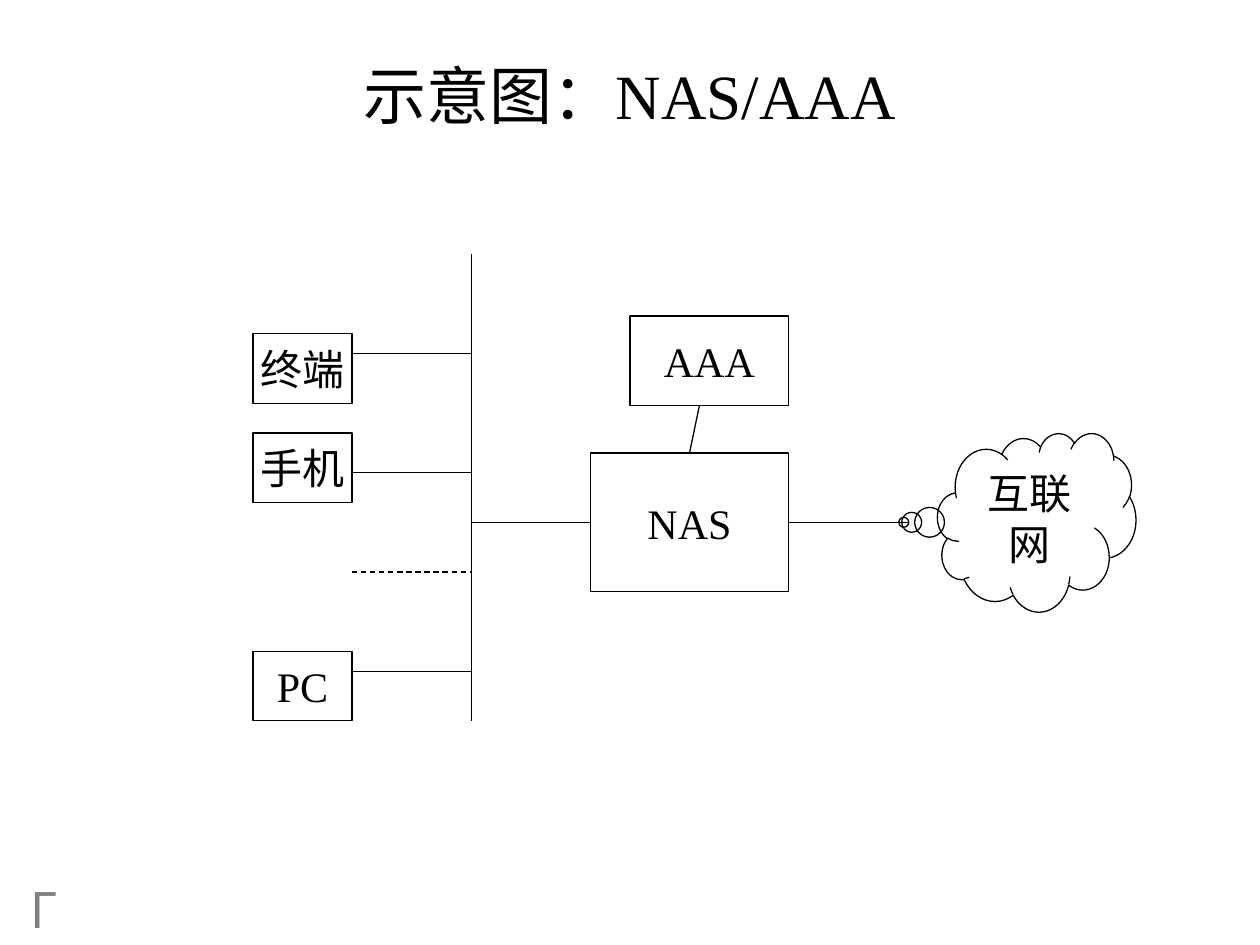
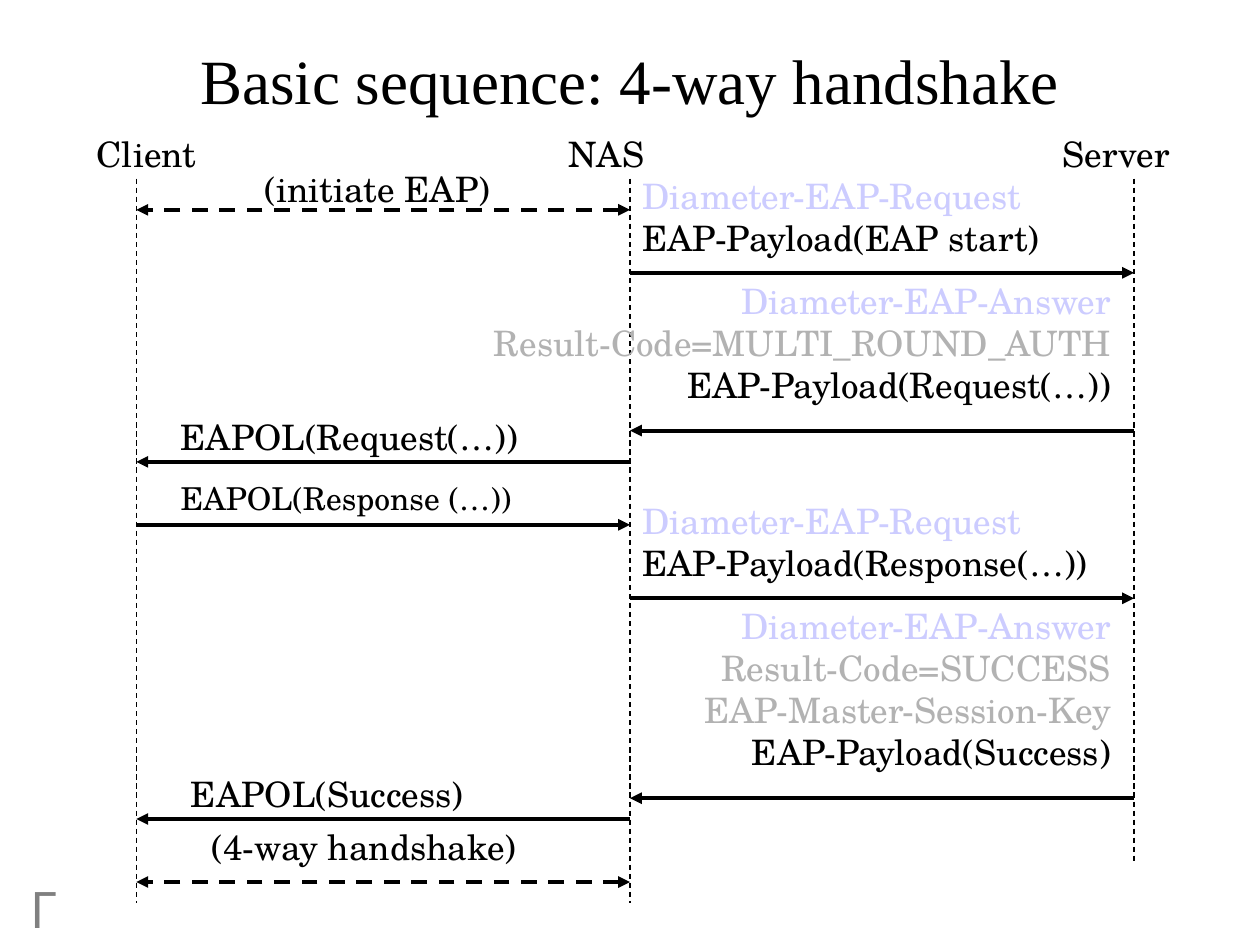
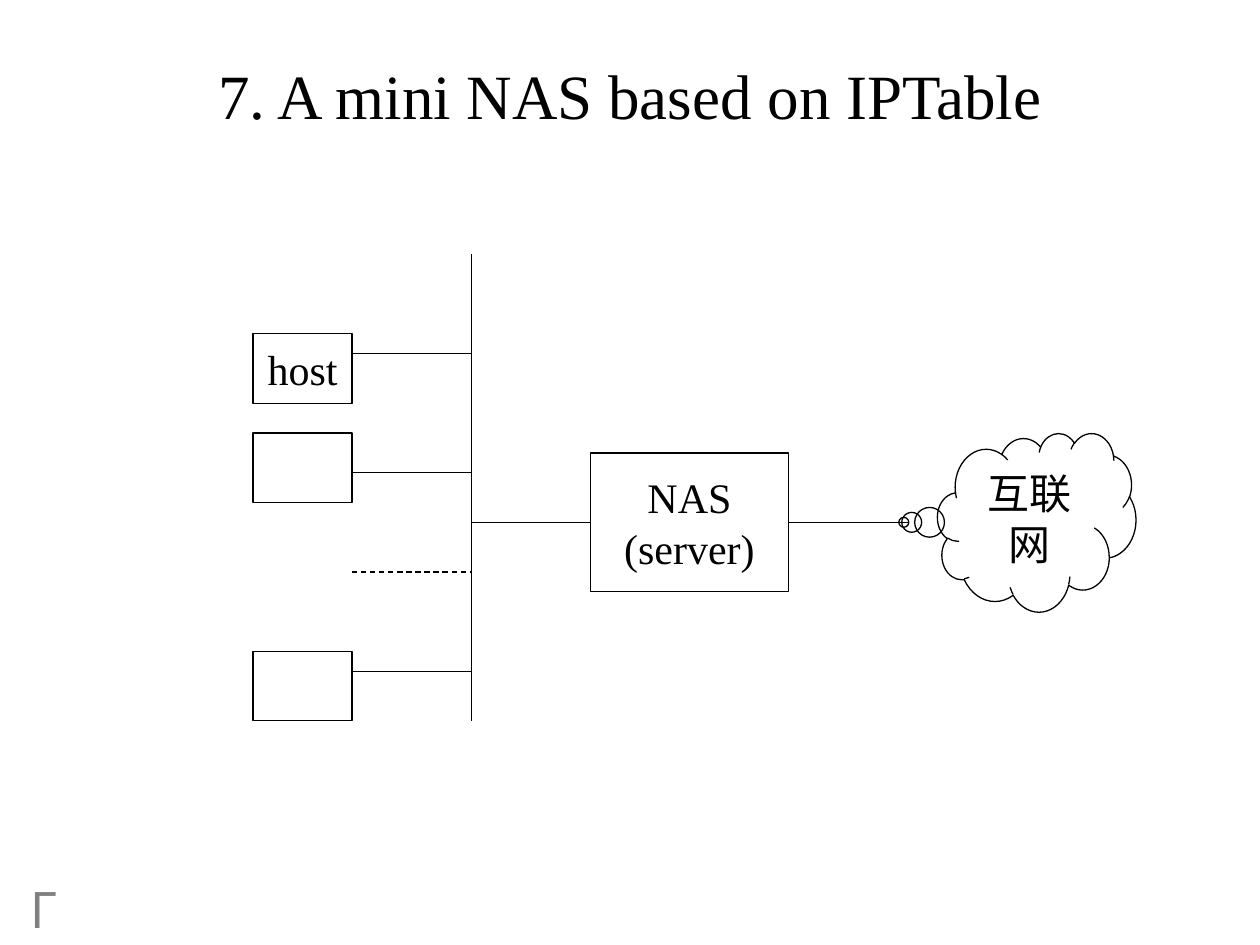
from pptx import Presentation
from pptx import util as u
from pptx.dml import color
from pptx.enum import dml, shapes, text
from pptx.oxml import ns, xmlchemy

BLACK, GREY, LILAC, SILVER = "000000", "808080", "CCCCFF", "B2B2B2"
SERIF, SCHOLA, CJK = "Times New Roman", "TeX Gyre Schola", "Noto Sans CJK SC"
LEFT, CENTER, RIGHT = text.PP_ALIGN.LEFT, text.PP_ALIGN.CENTER, text.PP_ALIGN.RIGHT
THIN, THICK = 0.75, 2.25

TITLE_AREA = (1.9, 0.7, 21.6, 2.4)
HIGH_TITLE_AREA = (1.9, 0, 21.6, 3.18)
CORNER_MARK = ("Γ ", (0.15, 17.6, 1.7, 1.45))

NETWORKS = {
    "overview": dict(title="示意图：NAS/AAA", hosts=["终端", "手机", "PC"],
                     gateway=["NAS"], authenticator="AAA"),
    "mini": dict(title="7. A mini NAS based on IPTable", hosts=["host", "", ""],
                 gateway=["NAS", "(server)"], authenticator=""),
}
INTERNET = "互联网"
HOST_TOPS = [6.73, 8.73, 13.13]
HOST_LINKS = [(7.13, False), (9.53, False), (11.53, True), (13.53, False)]
HOST_LEFT, HOST_WIDTH, HOST_HEIGHT = 5.1, 2, 1.4
BUS_X, BUS_TOP, BUS_BOTTOM = 9.5, 5.13, 14.53
GATEWAY_AREA = (11.9, 9.13, 4, 2.8)
AUTHENTICATOR_AREA = (12.7, 6.37, 3.2, 1.8)
INTERNET_AREA = (18.9, 8.73, 4, 3.6)
LINK_LENGTH = 2.4

HANDSHAKE_TITLE = "Basic sequence: 4-way handshake"
LIFELINE_TOP = 3.6
PARTIES = {
    "Client": (2.75, 18.2, 1.7),
    "NAS": (12.7, 18.2, 11.22),
    "Server": (22.86, 17.36, 21.17),
}
MESSAGES = [
    ("NAS", "Client", 4.23, True),
    ("NAS", "Server", 5.5, False),
    ("Server", "NAS", 8.68, False),
    ("NAS", "Client", 9.31, False),
    ("Client", "NAS", 10.58, False),
    ("NAS", "Server", 12.06, False),
    ("Server", "NAS", 16.09, False),
    ("NAS", "Client", 16.51, False),
    ("NAS", "Client", 17.78, True),
]
REQUEST = ("Diameter-EAP-Request", LILAC)
ANSWER = ("Diameter-EAP-Answer", LILAC)
CAPTIONS = [
    (5.08, 3.25, 6.15, LEFT, 20, [("(initiate EAP)", BLACK)]),
    (12.7, 3.39, 10.58, LEFT, 20, [REQUEST, ("EAP-Payload(EAP start)", BLACK)]),
    (3.18, 5.5, 19.47, RIGHT, 20, [ANSWER, ("Result-Code=MULTI_ROUND_AUTH", SILVER),
                                   ("EAP-Payload(Request(…))", BLACK)]),
    (3.39, 8.26, 13.76, LEFT, 20, [("EAPOL(Request(…))", BLACK)]),
    (3.39, 9.53, 13.76, LEFT, 18, [("EAPOL(Response (…))", BLACK)]),
    (12.7, 9.95, 12.28, LEFT, 20, [REQUEST, ("EAP-Payload(Response(…))", BLACK)]),
    (12.7, 12.06, 9.95, RIGHT, 20, [ANSWER, ("Result-Code=SUCCESS", SILVER),
                                    ("EAP-Master-Session-Key", SILVER),
                                    ("EAP-Payload(Success)", BLACK)]),
    (3.6, 15.45, 13.76, LEFT, 20, [("EAPOL(Success)", BLACK)]),
    (4.02, 16.51, 8.47, LEFT, 20, [("(4-way handshake)", BLACK)]),
]


def cm(values):
    return [u.Cm(value) for value in values]


def paint(target, hex_string):
    target.rgb = color.RGBColor.from_string(hex_string)


def style_run(run, font, size, hex_string):
    run.font.size = u.Pt(size)
    paint(run.font.color, hex_string)
    run.font.name = font
    east_asian = xmlchemy.OxmlElement("a:ea")
    east_asian.set("typeface", CJK)
    run.font._element.append(east_asian)


def write_lines(frame, lines, font, size, align=CENTER, wrap=False, middle=True):
    frame.word_wrap = wrap
    frame.auto_size = text.MSO_AUTO_SIZE.NONE
    frame.vertical_anchor = text.MSO_ANCHOR.MIDDLE if middle else text.MSO_ANCHOR.TOP
    paragraph = frame.paragraphs[0]
    paragraph.text = "\v".join(line for line, _ in lines)
    paragraph.alignment = align
    for run, (_, hex_string) in zip(paragraph.runs, lines):
        style_run(run, font, size, hex_string)


def add_caption(slide, left, top, width, align, size, lines):
    height = 0.27 + 0.85 * len(lines)
    caption = slide.shapes.add_textbox(*cm((left, top, width, height)))
    write_lines(caption.text_frame, lines, SCHOLA, size, align, wrap=True, middle=False)


def add_line(slide, start, end, width=THIN, dashed=False, heads=()):
    link = slide.shapes.add_connector(shapes.MSO_CONNECTOR.STRAIGHT, *cm(start + end))
    link.line.width = u.Pt(width)
    paint_line(link)
    if dashed:
        link.line.dash_style = dml.MSO_LINE.DASH
    properties = link.element.spPr
    for head in heads:
        arrow = xmlchemy.OxmlElement(head)
        arrow.set("type", "triangle")
        properties.find(ns.qn("a:ln")).append(arrow)
    properties.append(xmlchemy.OxmlElement("a:effectLst"))


def paint_line(outlined):
    outlined.line.fill.solid()
    paint(outlined.line.color, BLACK)


def add_node(slide, area, lines, preset=shapes.MSO_SHAPE.RECTANGLE, wrap=False):
    node = slide.shapes.add_shape(preset, *cm(area))
    node.shadow.inherit = False
    node.fill.background()
    node.line.width = u.Pt(THIN)
    paint_line(node)
    if any(lines):
        write_lines(node.text_frame, [(line, BLACK) for line in lines], SERIF, 24, wrap=wrap)
    return node


def add_titled_slide(prs, layout, title, area=TITLE_AREA):
    slide = prs.slides.add_slide(layout)
    heading = slide.shapes.title
    heading.left, heading.top, heading.width, heading.height = cm(area)
    write_lines(heading.text_frame, [(title, BLACK)], SERIF, 36, wrap=True)
    return slide


def add_corner_mark(slide, layout):
    mark, area = CORNER_MARK
    corner = slide.shapes.add_textbox(*cm(area))
    write_lines(corner.text_frame, [(mark, GREY)], CJK, 28)
    layout.shapes.element.append(corner.element)


def build_network(prs, layout, title, hosts, gateway, authenticator):
    slide = add_titled_slide(prs, layout, title)
    add_line(slide, (BUS_X, BUS_TOP), (BUS_X, BUS_BOTTOM))
    for y, dashed in HOST_LINKS:
        add_line(slide, (HOST_LEFT + HOST_WIDTH, y), (BUS_X, y), dashed=dashed)
    for host, top in zip(hosts, HOST_TOPS):
        add_node(slide, (HOST_LEFT, top, HOST_WIDTH, HOST_HEIGHT), [host])

    left, top, width, height = GATEWAY_AREA
    middle = top + height / 2
    for start in (BUS_X, left + width):
        add_line(slide, (start, middle), (start + LINK_LENGTH, middle))
    add_node(slide, GATEWAY_AREA, gateway)
    if authenticator:
        add_node(slide, AUTHENTICATOR_AREA, [authenticator])
        bottom = AUTHENTICATOR_AREA[1] + AUTHENTICATOR_AREA[3]
        add_line(slide, (left + width / 2, top), (14.1, bottom))
    cloud = add_node(slide, INTERNET_AREA, [INTERNET], shapes.MSO_SHAPE.CLOUD_CALLOUT, wrap=True)
    cloud.adjustments[0] = -0.67
    cloud.adjustments[1] = 0
    return slide


def build_handshake(prs, layout):
    slide = add_titled_slide(prs, layout, HANDSHAKE_TITLE, HIGH_TITLE_AREA)
    for party, (x, bottom, label_left) in PARTIES.items():
        add_line(slide, (x, LIFELINE_TOP), (x, bottom), dashed=True)
        add_caption(slide, label_left, 2.54, 4, LEFT, 20, [(party, BLACK)])
    for sender, receiver, y, both_ways in MESSAGES:
        heads = ("a:headEnd", "a:tailEnd") if both_ways else ("a:tailEnd",)
        add_line(slide, (PARTIES[sender][0], y), (PARTIES[receiver][0], y),
                 THICK, both_ways, heads)
    for caption in CAPTIONS:
        add_caption(slide, *caption)


def main():
    prs = Presentation()
    prs.slide_width, prs.slide_height = cm((25.4, 19.05))
    layout = prs.slide_layouts[5]
    overview = build_network(prs, layout, **NETWORKS["overview"])
    add_corner_mark(overview, layout)
    build_handshake(prs, layout)
    build_network(prs, layout, **NETWORKS["mini"])
    prs.save("out.pptx")


if __name__ == "__main__":
    main()
